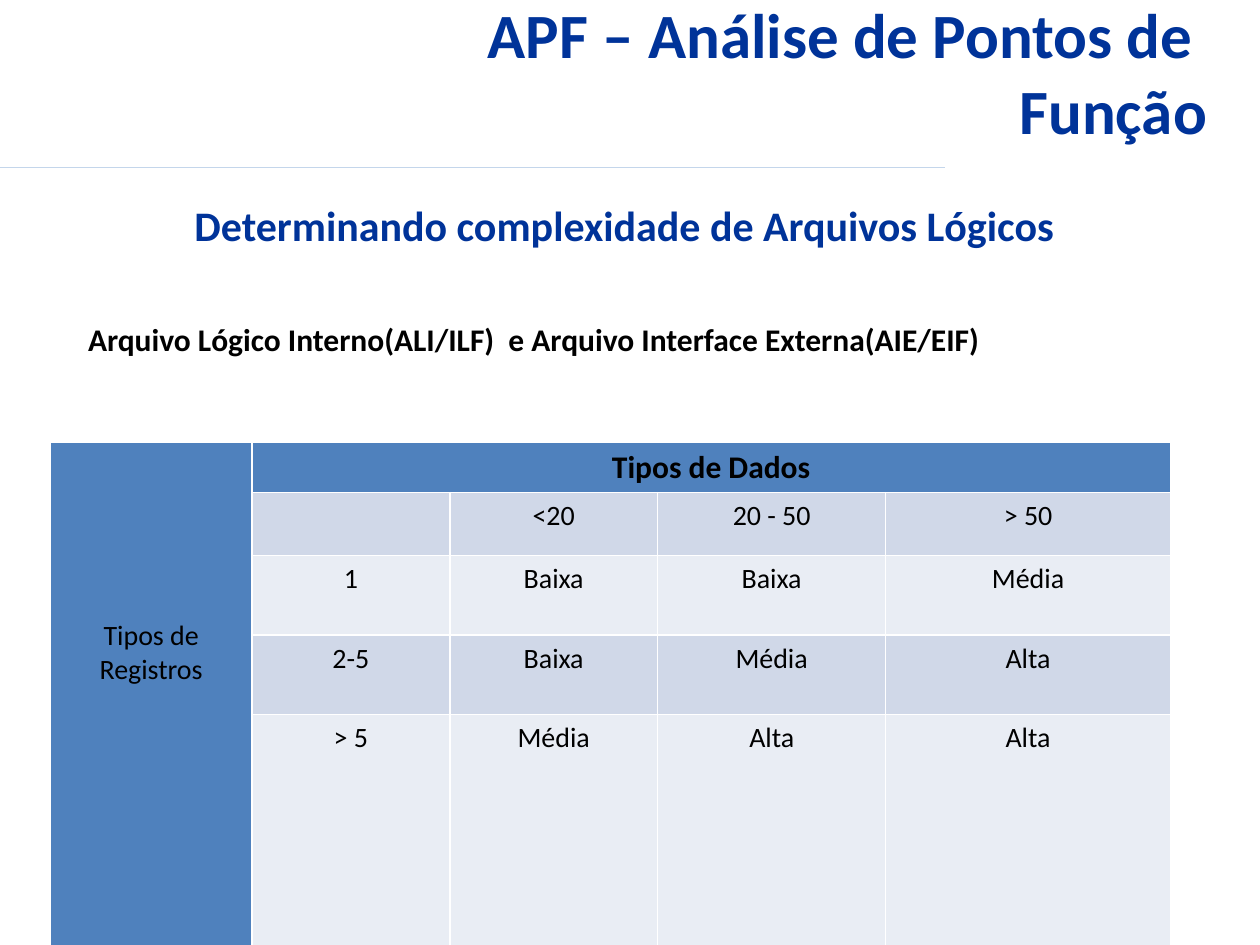
"""Build the slide on function point analysis of logical files."""
import pptx
import pptx.dml.color
import pptx.enum.shapes
import pptx.enum.text
import pptx.oxml.ns
import pptx.util
from lxml import etree

Inches = pptx.util.Inches
Align = pptx.enum.text.PP_ALIGN
Anchor = pptx.enum.text.MSO_ANCHOR
qn = pptx.oxml.ns.qn


def color(hex_value):
    return pptx.dml.color.RGBColor.from_string(hex_value)


class SlideBuilder:
    FONT = "Calibri"
    NAVY, BLACK, WHITE = "003399", "000000", "FFFFFF"
    HEADER, BANDS = "4F81BD", ("E9EDF4", "D0D8E8")

    def __init__(self, slide):
        self.slide = slide

    def set_text(self, frame, lines, size, ink, align, bold=True):
        frame.word_wrap = True
        frame.text = "\n".join(lines)
        for paragraph in frame.paragraphs:
            paragraph.alignment = align
            paragraph.font.name = self.FONT
            paragraph.font.size = pptx.util.Pt(size)
            paragraph.font.bold = bold
            paragraph.font.color.rgb = color(ink)

    def title(self, box, lines):
        heading = self.slide.shapes.title
        heading.left, heading.top, heading.width, heading.height = map(Inches, box)
        frame = heading.text_frame
        frame.auto_size = pptx.enum.text.MSO_AUTO_SIZE.NONE
        frame.vertical_anchor = Anchor.MIDDLE
        self.set_text(frame, lines, 36, self.NAVY, Align.RIGHT)

    def text(self, box, line, size, ink, align, anchor=Anchor.TOP):
        frame = self.slide.shapes.add_textbox(*map(Inches, box)).text_frame
        frame.vertical_anchor = anchor
        self.set_text(frame, [line], size, ink, align)

    def rule(self, start, end):
        line = self.slide.shapes.add_connector(
            pptx.enum.shapes.MSO_CONNECTOR.STRAIGHT, *map(Inches, start + end))
        line.line.color.rgb = color("C4D6EB")
        line.line.width = pptx.util.Pt(0.75)
        etree.SubElement(line._element.spPr, qn("a:effectLst"))

    def cell_style(self, cell, fill):
        properties = cell._tc.get_or_add_tcPr()
        for side in ("a:lnL", "a:lnR", "a:lnT", "a:lnB"):
            border = etree.SubElement(properties, qn(side), w=str(pptx.util.Pt(1)))
            solid = etree.SubElement(border, qn("a:solidFill"))
            etree.SubElement(solid, qn("a:srgbClr"), val=self.WHITE)
        cell.fill.solid()
        cell.fill.fore_color.rgb = color(fill)

    def table(self, box, widths, heights, records, data_header, record_header):
        grid = self.slide.shapes.add_table(
            len(heights), len(widths), *map(Inches, box)).table
        for column, width in zip(grid.columns, widths):
            column.width = Inches(width)
        for row, height in zip(grid.rows, heights):
            row.height = Inches(height)
        for r in range(len(heights)):
            for c in range(len(widths)):
                is_header = r == 0 or c == 0
                self.cell_style(grid.cell(r, c),
                                self.HEADER if is_header else self.BANDS[r % 2])
        for r, record in enumerate(records, 1):
            for c, value in enumerate(record, 1):
                self.set_text(grid.cell(r, c).text_frame, [value], 16,
                              self.BLACK, Align.CENTER, bold=False)
        registers, data = grid.cell(0, 0), grid.cell(0, 1)
        registers.merge(grid.cell(len(heights) - 1, 0))
        data.merge(grid.cell(0, len(widths) - 1))
        registers.margin_top = Inches(1.4)
        self.set_text(registers.text_frame, [record_header], 16, self.BLACK,
                      Align.CENTER, bold=False)
        self.set_text(data.text_frame, [data_header], 18, self.BLACK, Align.CENTER)


def main():
    deck = pptx.Presentation()
    deck.slide_width, deck.slide_height = Inches(10), Inches(7.5)
    builder = SlideBuilder(deck.slides.add_slide(deck.slide_layouts[5]))
    builder.rule((0, 1.33), (7.5, 1.33))
    builder.text((0.6, 2.49, 8.78, 0.4),
                 "Arquivo Lógico Interno(ALI/ILF)  e Arquivo Interface Externa(AIE/EIF)",
                 18, builder.BLACK, Align.JUSTIFY)
    complexity = [
        ("", "<20", "20 - 50", "> 50"),
        ("1", "Baixa", "Baixa", "Média"),
        ("2-5", "Baixa", "Média", "Alta"),
        ("> 5", "Média", "Alta", "Alta"),
    ]
    builder.table((0.4, 3.51, 8.89, 3.99), (1.6, 1.57, 1.65, 1.81, 2.26),
                  (0.4, 0.5, 0.63, 0.63, 1.83), complexity,
                  "Tipos de Dados", "Tipos de Registros")
    builder.text((0.33, 1.43, 9.25, 0.71),
                 "Determinando complexidade de Arquivos Lógicos",
                 24, builder.NAVY, Align.CENTER, Anchor.MIDDLE)
    builder.title((0.43, 0.21, 9.25, 0.71), ["APF – Análise de Pontos de ", "Função"])
    deck.save("out.pptx")


if __name__ == "__main__":
    main()
